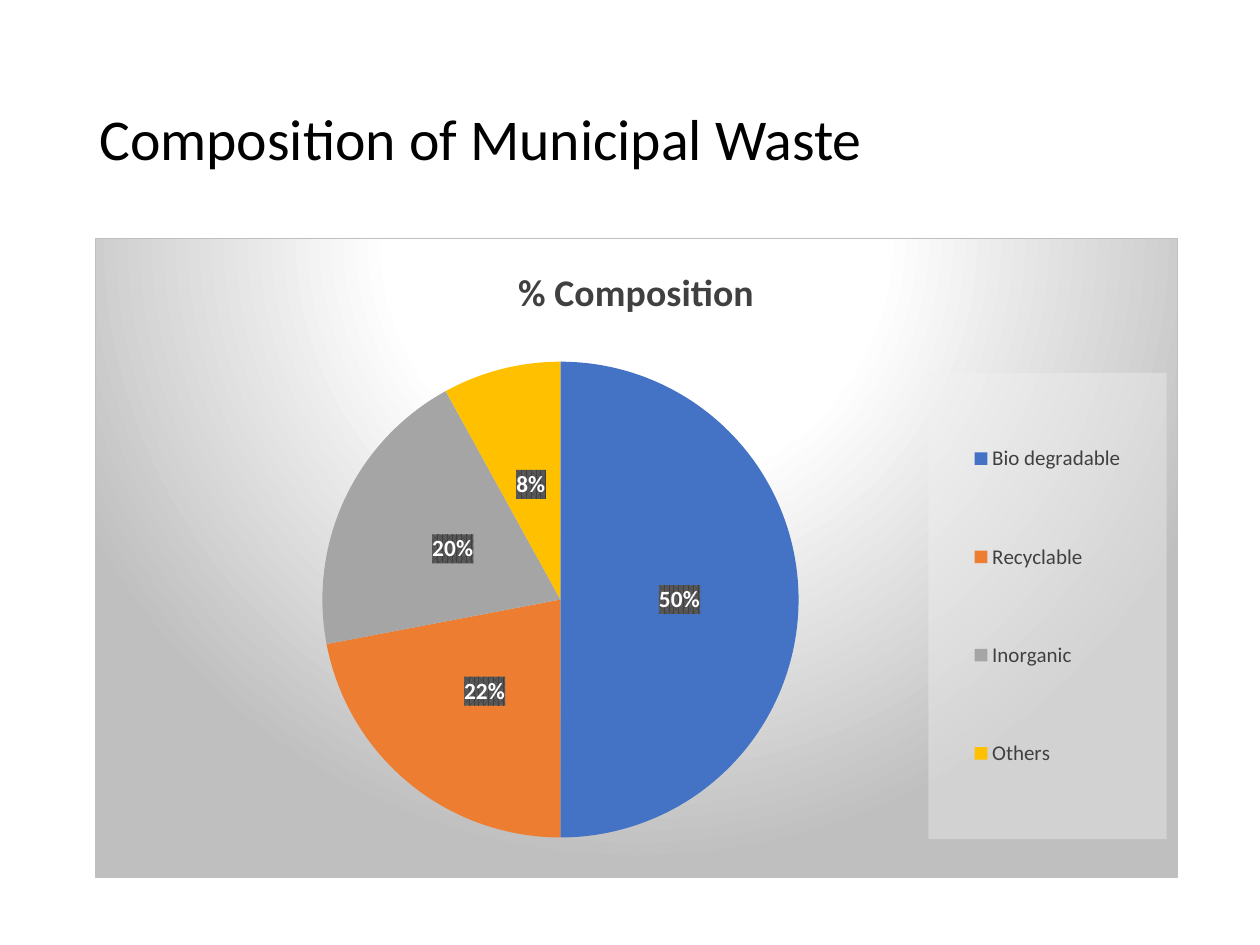
from lxml import etree
from pptx import Presentation
from pptx.chart.data import CategoryChartData
from pptx.dml.color import RGBColor
from pptx.enum.chart import XL_CHART_TYPE, XL_LABEL_POSITION, XL_LEGEND_POSITION
from pptx.enum.text import MSO_ANCHOR
from pptx.oxml import parse_xml
from pptx.oxml.ns import nsdecls, qn
from pptx.util import Inches, Pt

FONT = "Calibri"
COLORS = {
    "title": "000000",
    "text": "404040",
    "label": "FFFFFF",
    "label_dark": "404040",
    "label_light": "595959",
    "panel": "FFFFFF",
    "panel_edge": "BFBFBF",
    "legend": "F2F2F2",
}
# category: (percent, slice colour)
WASTE = {
    "Bio degradable": (50, "4472C4"),
    "Recyclable": (22, "ED7D31"),
    "Inorganic": (20, "A5A5A5"),
    "Others": (8, "FFC000"),
}


def style_font(font, size, color, bold=False):
    font.name, font.size, font.bold = FONT, Pt(size), bold
    font.color.rgb = RGBColor.from_string(COLORS[color])


def shape_properties(content):
    return parse_xml(f'<c:spPr {nsdecls("c", "a")}>{content}</c:spPr>')


def solid(color, extra=""):
    return f'<a:solidFill><a:srgbClr val="{COLORS[color]}">{extra}</a:srgbClr></a:solidFill>'


def set_layout(parent, previous, x, y, w, h, inner=False):
    """Place a chart element by shares of the chart's size."""
    for old in parent.findall(qn("c:layout")):
        parent.remove(old)
    layout = parse_xml(f'<c:layout {nsdecls("c")}><c:manualLayout/></c:layout>')
    settings = {"layoutTarget": "inner"} if inner else {}
    settings.update(xMode="edge", yMode="edge", x=x, y=y, w=w, h=h)
    for name, value in settings.items():
        etree.SubElement(layout[0], qn(f"c:{name}")).set("val", str(value))
    if previous is None:
        parent.insert(0, layout)
    else:
        previous.addnext(layout)


def add_title(slide, text):
    box = slide.shapes.add_textbox(Inches(0.69), Inches(0.4), Inches(8.62), Inches(1.45))
    tf = box.text_frame
    tf.word_wrap = True
    tf.vertical_anchor = MSO_ANCHOR.MIDDLE
    p = tf.paragraphs[0]
    p.text = text
    p.line_spacing = 0.9
    style_font(p.font, 33, "title")


def style_panel(chart):
    """Give the chart area a radial gradient centred above it."""
    stops = "".join(
        f'<a:gs pos="{pos}000"><a:srgbClr val="{COLORS[color]}"/></a:gs>'
        for pos, color in ((0, "panel"), (39, "panel"), (100, "panel_edge"))
    )
    chart.element.find(qn("c:chart")).addnext(shape_properties(
        f'<a:gradFill><a:gsLst>{stops}</a:gsLst><a:path path="circle">'
        '<a:fillToRect l="50000" t="-80000" r="50000" b="180000"/></a:path></a:gradFill>'
        f'<a:ln w="{Pt(0.75)}">{solid("panel_edge")}</a:ln>'
    ))


def style_legend(chart):
    chart.has_legend = True
    legend = chart.legend
    legend.position = XL_LEGEND_POSITION.RIGHT
    legend.include_in_layout = False
    style_font(legend.font, 12, "text")
    element = chart.element.find(".//" + qn("c:legend"))
    set_layout(element, element.find(qn("c:legendPos")), 0.77, 0.21, 0.22, 0.73)
    element.find(qn("c:txPr")).addprevious(
        shape_properties(solid("legend", '<a:alpha val="39000"/>')))


def style_labels(chart):
    plot = chart.plots[0]
    plot.has_data_labels = True
    labels = plot.data_labels
    labels.show_percentage, labels.show_value = True, False
    labels.number_format, labels.number_format_is_linked = "0%", False
    labels.position = XL_LABEL_POSITION.CENTER
    style_font(labels.font, 13.3, "label", bold=True)
    element = chart.element.find(".//" + qn("c:dLbls"))
    element.find(qn("c:txPr")).addprevious(shape_properties(
        '<a:pattFill prst="pct75">'
        f'<a:fgClr><a:srgbClr val="{COLORS["label_dark"]}"/></a:fgClr>'
        f'<a:bgClr><a:srgbClr val="{COLORS["label_light"]}"/></a:bgClr></a:pattFill>'
    ))


def add_waste_pie(slide):
    data = CategoryChartData()
    data.categories = list(WASTE)
    data.add_series("Series 1", [percent for percent, _ in WASTE.values()])
    chart = slide.shapes.add_chart(
        XL_CHART_TYPE.PIE, Inches(0.75), Inches(1.89), Inches(8.6), Inches(5.08), data
    ).chart
    style_font(chart.font, 10, "title")

    chart.has_title = True
    p = chart.chart_title.text_frame.paragraphs[0]
    p.text = "% Composition"
    style_font(p.font, 21.6, "text", bold=True)

    plot = chart.plots[0]
    plot.vary_by_categories = True
    for i, (_, color) in enumerate(WASTE.values()):
        point = plot.series[0].points[i].format
        point.fill.solid()
        point.fill.fore_color.rgb = RGBColor.from_string(color)
        point.line.fill.background()
    style_labels(chart)
    style_legend(chart)
    style_panel(chart)
    plot_area = chart.element.find(".//" + qn("c:plotArea"))
    set_layout(plot_area, None, 0.21, 0.13, 0.44, 0.87, inner=True)


def main():
    prs = Presentation()
    prs.slide_width, prs.slide_height = Inches(10), Inches(7.5)
    slide = prs.slides.add_slide(prs.slide_layouts[6])
    add_title(slide, "Composition of Municipal Waste")
    add_waste_pie(slide)
    prs.save("out.pptx")


if __name__ == "__main__":
    main()
